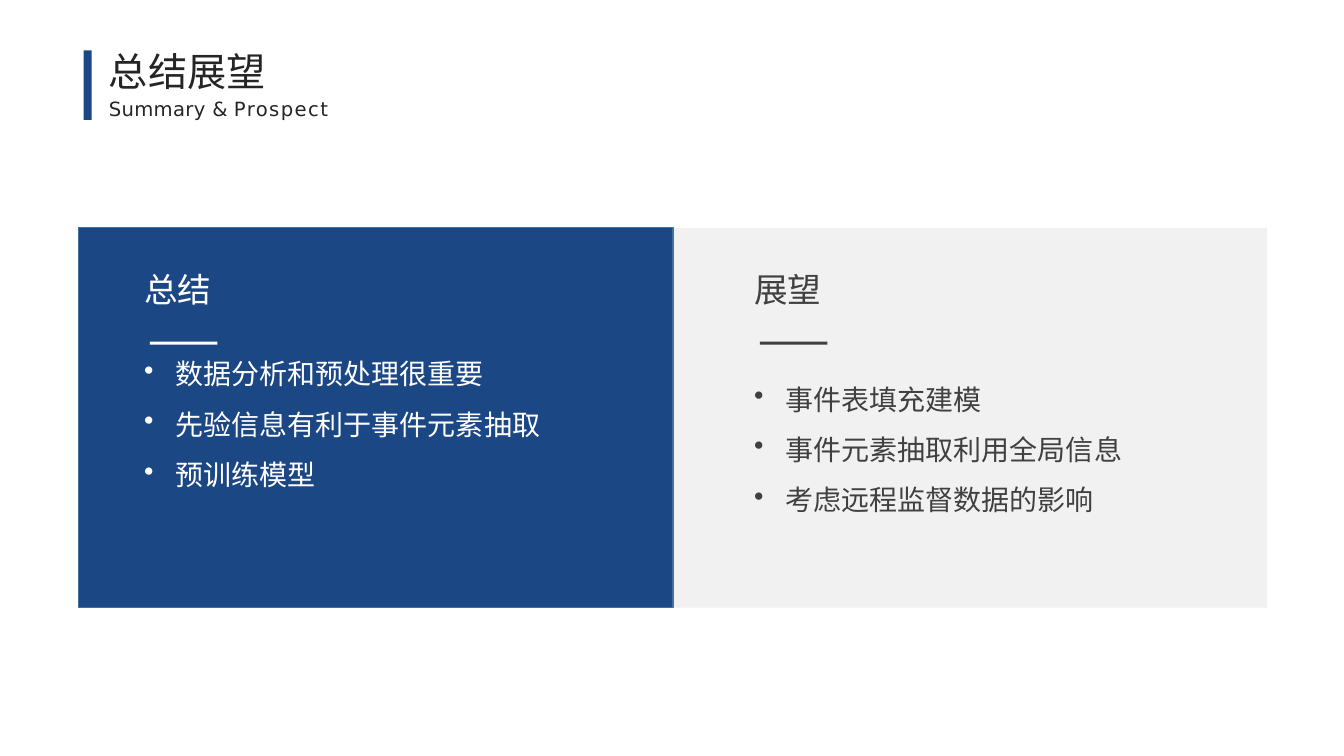
from dataclasses import dataclass

import pptx
import pptx.dml.color
import pptx.enum.shapes
import pptx.enum.text
import pptx.oxml
import pptx.oxml.ns
import pptx.util

RGBColor = pptx.dml.color.RGBColor
NAVY = RGBColor(0x1C, 0x47, 0x85)
STEEL = RGBColor(0x41, 0x70, 0x9C)
PALE = RGBColor(0xF1, 0xF1, 0xF1)
WHITE = RGBColor(0xFF, 0xFF, 0xFF)
INK = RGBColor(0x25, 0x25, 0x25)
GREY = RGBColor(0x40, 0x40, 0x40)

# Grid of 100 columns by 100 rows
WIDTH = pptx.util.Inches(13.33)
HEIGHT = pptx.util.Inches(7.5)
PANEL_LEFT, PANEL_TOP, PANEL_WIDTH, PANEL_HEIGHT = 5.85, 30.13, 44.22, 50.27
HEADING_TOP, RULE_TOP = 35.6, 45.2


@dataclass
class Panel:
    heading: str
    bullets: list[str]
    fill: RGBColor
    ink: RGBColor
    inset: float
    bullets_top: float
    border: RGBColor | None = None


PANELS = [
    Panel("总结", ["数据分析和预处理很重要", "先验信息有利于事件元素抽取", "预训练模型"],
          NAVY, WHITE, inset=4.88, bullets_top=47.2, border=STEEL),
    Panel("展望", ["事件表填充建模", "事件元素抽取利用全局信息", "考虑远程监督数据的影响"],
          PALE, GREY, inset=6.05, bullets_top=50.53),
]


def place(left: float, top: float, width: float, height: float) -> list[int]:
    """Turn grid columns and rows into lengths."""
    return [round(WIDTH * left / 100), round(HEIGHT * top / 100),
            round(WIDTH * width / 100), round(HEIGHT * height / 100)]


def add_block(slide, box: list[int], fill: RGBColor, border: RGBColor | None = None) -> None:
    shape = slide.shapes.add_shape(pptx.enum.shapes.MSO_SHAPE.RECTANGLE, *box)
    shape.shadow.inherit = False
    shape.fill.solid()
    shape.fill.fore_color.rgb = fill
    if border is None:
        shape.line.fill.background()
    else:
        shape.line.color.rgb = border
        shape.line.width = pptx.util.Pt(1)


def add_text_box(slide, box: list[int]):
    frame = slide.shapes.add_textbox(*box).text_frame
    frame.word_wrap = True
    frame.margin_left = frame.margin_top = frame.margin_right = frame.margin_bottom = 0
    return frame


def write(frame, text: str, *, size: float, color: RGBColor, font: str = "Noto Sans",
          before: float = 0, spacing: float = 0, bullet: bool = False,
          same_line: bool = False) -> None:
    """Add text as a new paragraph, or as a run on the last one."""
    paragraph = frame.paragraphs[-1]
    if not same_line:
        if paragraph.runs:
            paragraph = frame.add_paragraph()
        paragraph.space_before = pptx.util.Pt(before)
    if bullet:
        properties = paragraph._p.get_or_add_pPr()
        indent = pptx.util.Inches(0.31)
        properties.set("marL", str(indent))
        properties.set("indent", str(-indent))
        mark = pptx.oxml.parse_xml(
            f'<a:buChar {pptx.oxml.ns.nsdecls("a")} char="•"/>')
        properties.append(mark)
    run = paragraph.add_run()
    run.text = text
    run.font.name = font
    run.font.size = pptx.util.Pt(size)
    run.font.color.rgb = color
    if spacing:
        run._r.get_or_add_rPr().set("spc", str(round(spacing * 100)))


def add_title(slide) -> None:
    add_block(slide, place(6.23, 6.67, 0.6, 9.2), NAVY)
    frame = add_text_box(slide, place(8.1, 6.27, 30, 10))
    write(frame, "总结展望", size=28, color=INK)
    subtitle = [("Summary ", 0.2), ("& ", 0), ("Prospect", 1)]
    for index, (text, spacing) in enumerate(subtitle):
        write(frame, text, size=14, color=INK, font="DejaVu Sans", before=1.6,
              spacing=spacing, same_line=index > 0)


def add_panel(slide, panel: Panel, left: float) -> None:
    add_block(slide, place(left, PANEL_TOP, PANEL_WIDTH, PANEL_HEIGHT),
              panel.fill, panel.border)
    text_left = left + panel.inset
    # Heading and its rule
    heading = add_text_box(slide, place(text_left, HEADING_TOP, 10, 5.6))
    write(heading, panel.heading, size=24, color=panel.ink)
    add_block(slide, place(text_left + 0.42, RULE_TOP, 5.03, 0.4), panel.ink)
    # Bullets
    frame = add_text_box(slide, place(text_left, panel.bullets_top, 32, 18))
    for index, text in enumerate(panel.bullets):
        write(frame, text, size=20, color=panel.ink,
              before=12 if index else 0, bullet=True)


def main() -> None:
    presentation = pptx.Presentation()
    presentation.slide_width = WIDTH
    presentation.slide_height = HEIGHT
    slide = presentation.slides.add_slide(presentation.slide_layouts[6])
    add_title(slide)
    # The right panel goes behind the border of the left one
    for column, panel in reversed(list(enumerate(PANELS))):
        add_panel(slide, panel, PANEL_LEFT + column * PANEL_WIDTH)
    presentation.save("out.pptx")


if __name__ == "__main__":
    main()
